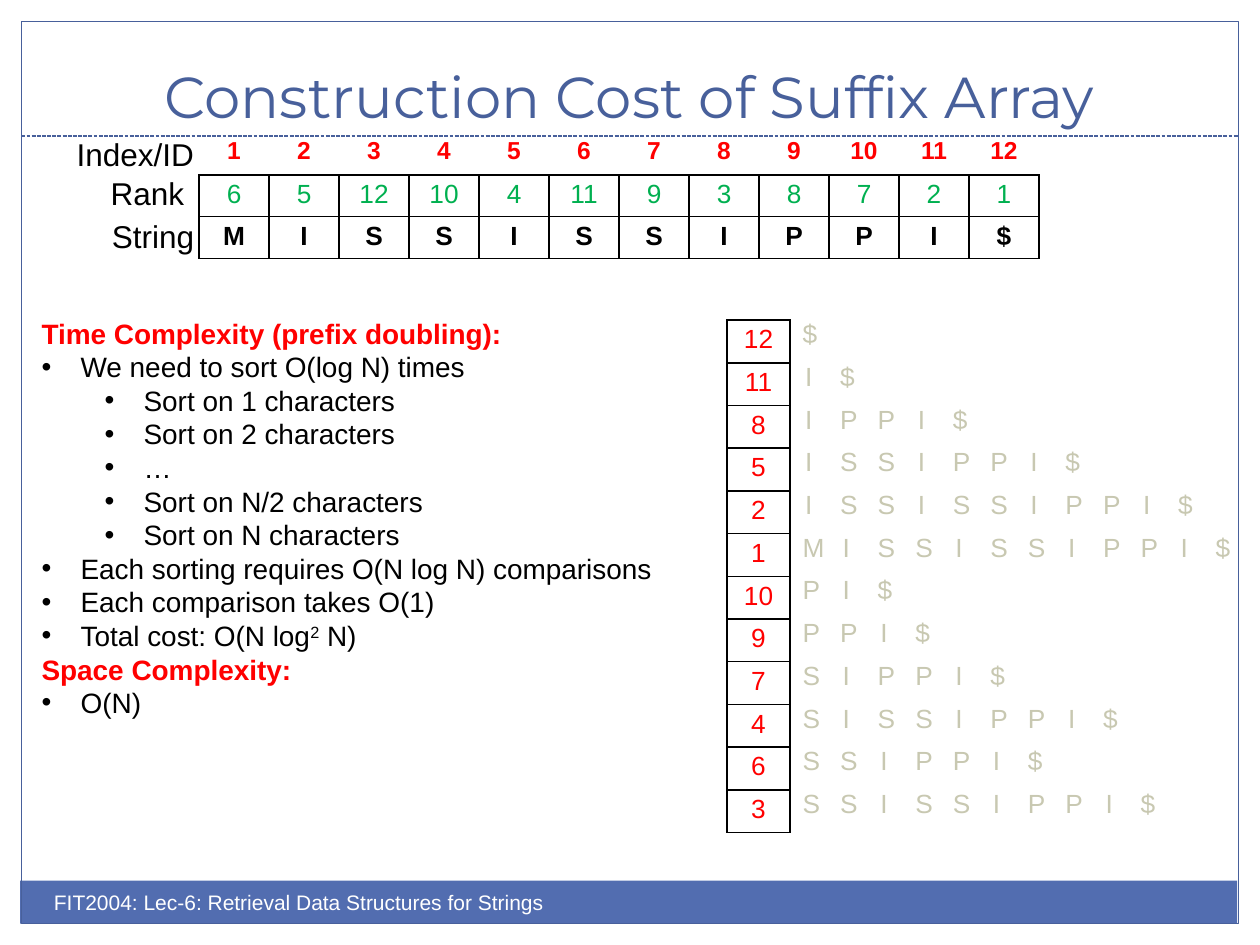
from lxml import etree
from pptx import Presentation
from pptx.dml.color import RGBColor
from pptx.enum.dml import MSO_LINE
from pptx.enum.shapes import MSO_CONNECTOR, MSO_SHAPE
from pptx.enum.text import MSO_ANCHOR, MSO_AUTO_SIZE, PP_ALIGN
from pptx.oxml.ns import qn
from pptx.util import Inches, Pt

RECT, LINE, DASH = MSO_SHAPE.RECTANGLE, MSO_CONNECTOR.STRAIGHT, MSO_LINE.SQUARE_DOT
BOTTOM, TOP, FIXED = MSO_ANCHOR.BOTTOM, MSO_ANCHOR.TOP, MSO_AUTO_SIZE.NONE
CENTER, LEFT = PP_ALIGN.CENTER, PP_ALIGN.LEFT
COLORS = {"bar": "526DB0", "edge": "48609B", "red": "FF0000", "green": "00B050",
          "gray": "C8C8B1", "black": "000000", "white": "FFFFFF"}
COLORS = {name: RGBColor.from_string(code) for name, code in COLORS.items()}

deck = Presentation()
deck.slide_width, deck.slide_height = Inches(10), Inches(7.5)
slide = deck.slides.add_slide(deck.slide_layouts[1])
shapes = slide.shapes


def style(run, size, color, bold=False, face="Arial"):
    values = {"size": Pt(size), "bold": bold, "name": face}
    for key, value in values.items():
        setattr(run.font, key, value)
    run.font.color.rgb = COLORS[color]


def grid(rows, box, size, color, bold=False, lines=True, inset=(0.1, 0.04)):
    left, top, width, height = box
    count = len(rows[0])
    table = shapes.add_table(len(rows), count, *map(Inches, box)).table
    table.first_row = table.horz_banding = False
    for col in table.columns:
        col.width = Inches(width / count)
    for row, texts in zip(table.rows, rows):
        row.height = Inches(height / len(rows))
        for cell, text in zip(row.cells, texts):
            cell.margin_left = cell.margin_right = Inches(inset[0])
            cell.margin_top = cell.margin_bottom = Inches(inset[1])
            para = cell.text_frame.paragraphs[0]
            para.alignment = CENTER
            if text:
                run = para.add_run()
                run.text = str(text)
                style(run, size, color, bold)
            else:
                etree.SubElement(para._p, qn("a:endParaRPr"), sz=str(size * 100))
            # Cell borders
            props = cell._tc.get_or_add_tcPr()
            for side in ("lnL", "lnR", "lnT", "lnB"):
                edge = etree.SubElement(props, qn("a:" + side), w=str(Pt(1)))
                if lines:
                    fill = etree.SubElement(edge, qn("a:solidFill"))
                    etree.SubElement(fill, qn("a:srgbClr"), val=str(COLORS["black"]))
                else:
                    etree.SubElement(edge, qn("a:noFill"))
            cell.fill.background()


# Footer bar, frame and dashed rule
bar = shapes.add_shape(RECT, *map(Inches, (0.16, 6.99, 9.66, 0.34)))
bar.fill.solid()
bar.fill.fore_color.rgb = COLORS["bar"]
bar.line.fill.background()
frame = shapes.add_shape(RECT, *map(Inches, (0.17, 0.17, 9.66, 7.16)))
frame.fill.background()
rule = shapes.add_connector(LINE, *map(Inches, (0.17, 1.08, 9.83, 1.08)))
rule.line.dash_style = DASH
etree.SubElement(rule._element.spPr, qn("a:effectLst"))
for item in (frame, rule):
    item.line.color.rgb = COLORS["edge"]
    item.line.width = Pt(0.75)
for item in (bar, frame):
    item.shadow.inherit = False

# Title
title = shapes.title
title.left, title.top, title.width, title.height = map(Inches, (0.33, 0.25, 9.33, 0.83))
title.text_frame.auto_size = FIXED
title.text_frame.vertical_anchor = BOTTOM
para = title.text_frame.paragraphs[0]
para.alignment = CENTER
run = para.add_run()
run.text = "Construction Cost of Suffix Array"
style(run, 33, "edge", face="Montserrat")

# Suffix order and ranks, both from the word itself
word = "MISSISSIPPI$"
size = len(word)
ids = range(1, size + 1)
order = sorted(ids, key=lambda i: word[i - 1:])
ranks = [order.index(i) + 1 for i in ids]
tails = [list(word[i - 1:].ljust(size).replace(" ", "\0")) for i in order]
tails = [["" if char == "\0" else char for char in tail] for tail in tails]

grid(tails, (6.27, 2.5, 3.58, 4.07), 15, "gray", lines=False)
grid([[i] for i in order], (5.77, 2.54, 0.5, 4.07), 15, "red", inset=(0.11, 0.04))
grid([ranks], (1.58, 1.39, 6.67, 0.33), 15, "green")
grid([ids], (1.58, 1.04, 6.67, 0.4), 14, "red", True, False, (0.1, 0.05))
grid([word], (1.58, 1.72, 6.67, 0.33), 15, "black", True)

# Row labels and footer
for text, box, points, color, wrap in (
    ("Index/ID", (0.51, 1.02, 1.14, 0.4), 18, "black", False),
    ("Rank", (0.78, 1.33, 0.79, 0.4), 18, "black", False),
    ("String", (0.79, 1.67, 0.86, 0.4), 18, "black", False),
    ("FIT2004: Lec-6: Retrieval Data Structures for Strings",
     (0.33, 7.01, 5, 0.4), 12, "white", True),
):
    text_frame = shapes.add_textbox(*map(Inches, box)).text_frame
    text_frame.word_wrap = wrap
    run = text_frame.paragraphs[0].add_run()
    run.text = text
    style(run, points, color)

# Complexity list: level None is a heading, ^ sets off a superscript
notes = [
    (None, "Time Complexity (prefix doubling):"),
    (0, "We need to sort O(log N) times"),
    (1, "Sort on 1 characters"),
    (1, "Sort on 2 characters"),
    (1, "…"),
    (1, "Sort on N/2 characters"),
    (1, "Sort on N characters"),
    (0, "Each sorting requires O(N log N) comparisons"),
    (0, "Each comparison takes O(1)"),
    (0, "Total cost: O(N log^2^ N)"),
    (None, "Space Complexity:"),
    (0, "O(N)"),
]
body = slide.placeholders[1]
body.left, body.top, body.width, body.height = map(Inches, (0.23, 2.46, 5.21, 3.33))
text_frame = body.text_frame
text_frame.auto_size = FIXED
text_frame.vertical_anchor = TOP
for row, (level, text) in enumerate(notes):
    para = text_frame.add_paragraph() if row else text_frame.paragraphs[0]
    head = level is None
    para.level = level or 0
    para.alignment = LEFT
    para.space_before = Pt(0)
    props = para._p.get_or_add_pPr()
    props.set("marL", str(0 if head else Inches(0.31 + 0.5 * level)))
    props.set("indent", str(0 if head else Inches(-0.31)))
    if head:
        etree.SubElement(props, qn("a:buNone"))
    else:
        etree.SubElement(props, qn("a:buFont"), typeface="Arial")
        etree.SubElement(props, qn("a:buChar"), char="•")
    for part, piece in enumerate(text.split("^")):
        run = para.add_run()
        run.text = piece
        style(run, 16, "red" if head else "black", head)
        if part == 1:
            run._r.get_or_add_rPr().set("baseline", "30000")

deck.save("out.pptx")
